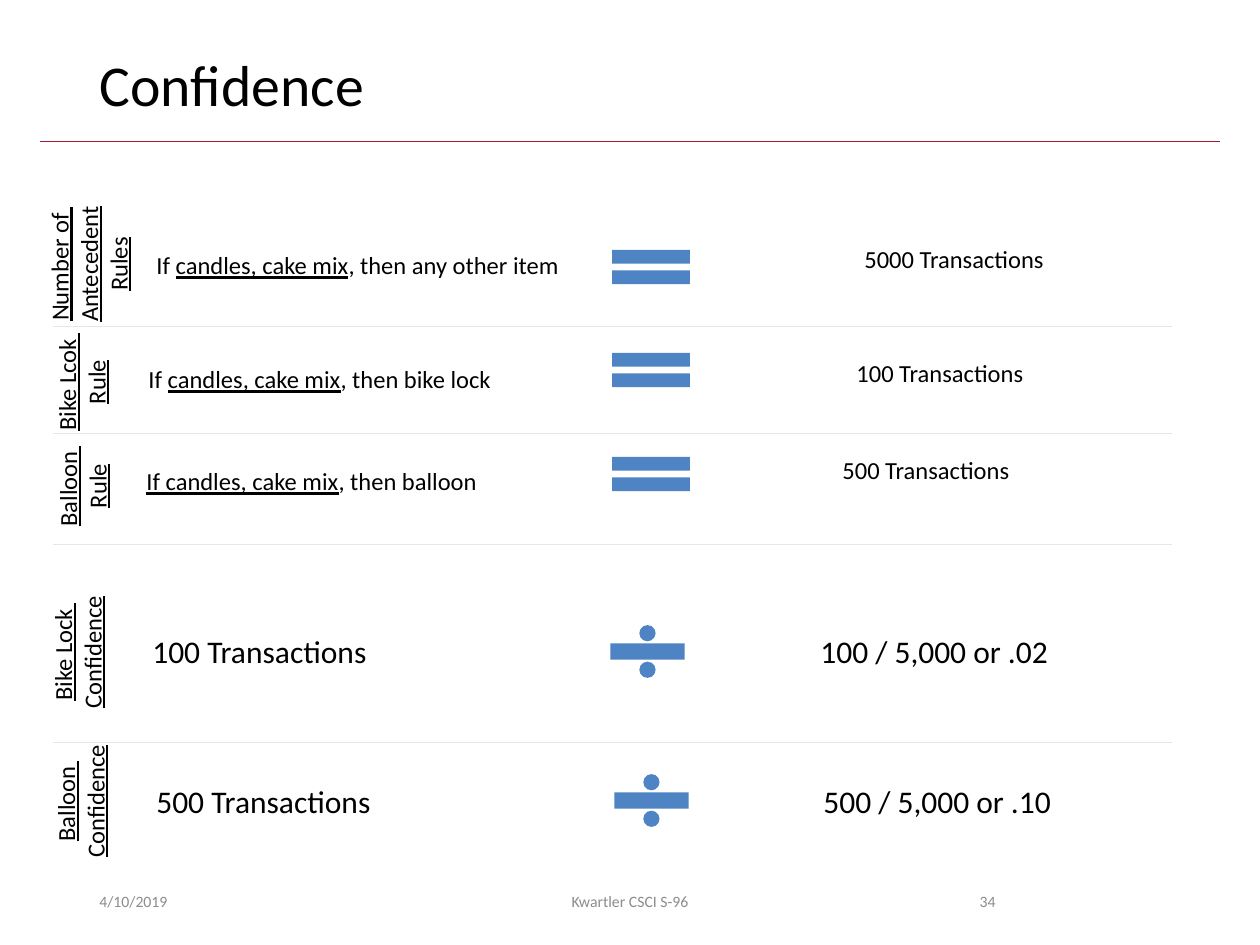
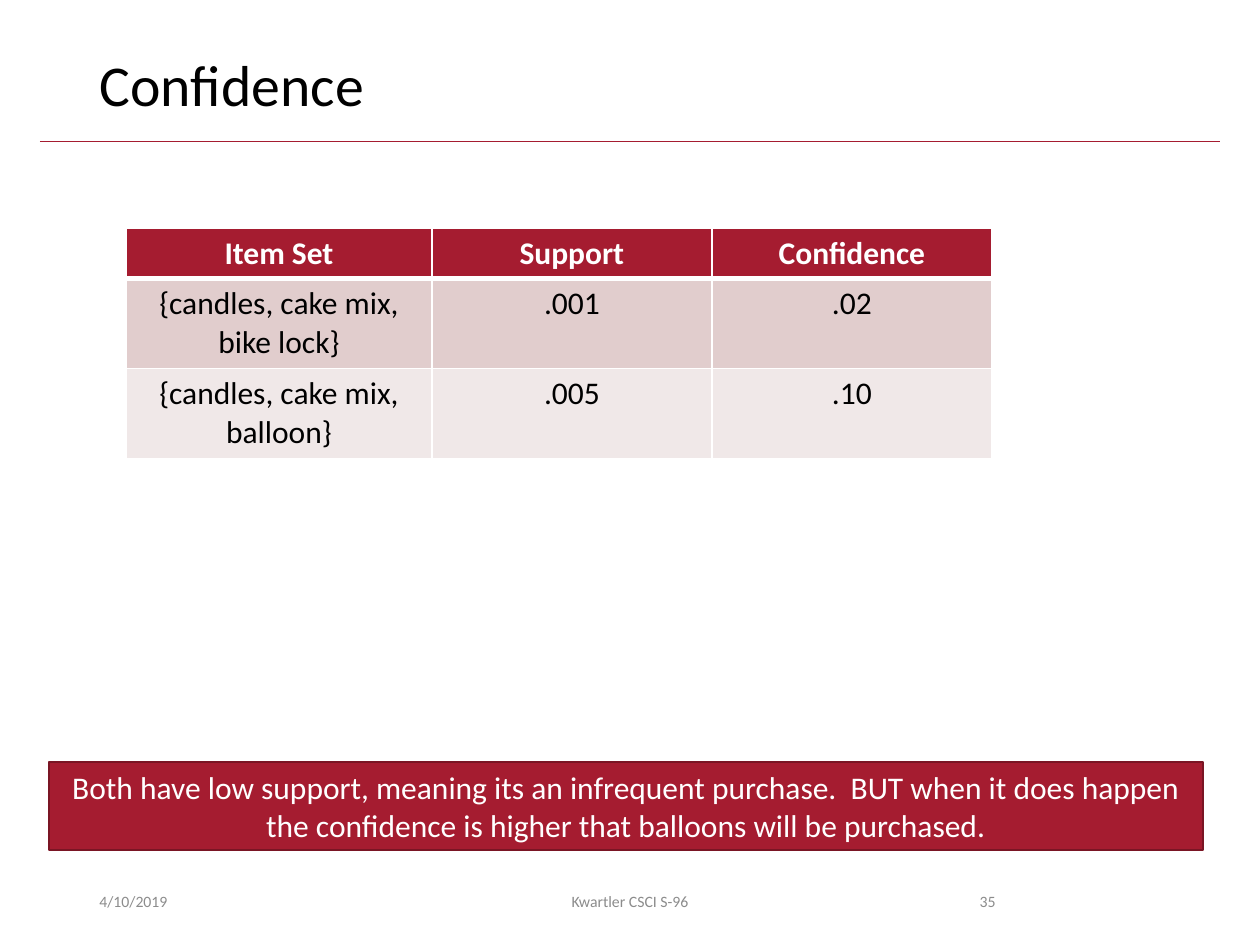
import pptx
import pptx.dml.color
import pptx.enum.shapes
import pptx.enum.text
import pptx.oxml
import pptx.oxml.ns
import pptx.util
import lxml.etree

SCALE = 914400 / 126
CRIMSON, BLUE, BLACK, WHITE = "A51C30", "4E84C4", "000000", "FFFFFF"
PALE_GREY, FOOTER_GREY, DARK_CRIMSON = "E7E6E6", "8C8C8C", "7A1524"
SHAPES = pptx.enum.shapes.MSO_SHAPE
ALIGN = pptx.enum.text.PP_ALIGN
ANCHOR = pptx.enum.text.MSO_ANCHOR
AUTO_SIZE = pptx.enum.text.MSO_AUTO_SIZE
color = pptx.dml.color.RGBColor.from_string


def px(*lengths):
    return [pptx.util.Emu(round(length * SCALE)) for length in lengths]


def write(frame, paragraphs, size, ink=BLACK, align=ALIGN.LEFT, bold=False):
    for index, spans in enumerate(paragraphs):
        para = frame.paragraphs[0] if index == 0 else frame.add_paragraph()
        para.alignment = align
        for text, underline in spans:
            span = para.add_run()
            span.text = text
            span.font.name = "Calibri"
            span.font.size = pptx.util.Pt(size)
            span.font.color.rgb = color(ink)
            span.font.bold = bold
            span.font.underline = underline


deck = pptx.Presentation()
deck.slide_width, deck.slide_height = px(1260, 945)
pages = [deck.slides.add_slide(deck.slide_layouts[5]) for number in range(2)]
rules = [(page, 40, 1220, 141, CRIMSON) for page in pages]
rules += [(pages[0], 1172, 53, y, PALE_GREY) for y in (326, 433, 544, 742)]

for page, start, end, y, ink in rules:
    rule = page.shapes.add_connector(
        pptx.enum.shapes.MSO_CONNECTOR.STRAIGHT, *px(start, y, end, y))
    rule.line.color.rgb = color(ink)
    rule.line.width = pptx.util.Pt(0.5)
    lxml.etree.SubElement(rule.element.spPr, pptx.oxml.ns.qn("a:effectLst"))

for page_number, page in enumerate(pages, 34):
    title = page.shapes.title
    title.left, title.top, title.width, title.height = px(87, 50, 1086, 82)
    title.text_frame.auto_size = AUTO_SIZE.NONE
    title.text_frame.vertical_anchor = ANCHOR.TOP
    write(title.text_frame, [[("Confidence", False)]], 33)
    title.text_frame.paragraphs[0].line_spacing = 0.9

    for text, left, width, align in (
        ("4/10/2019", 87, 284, ALIGN.LEFT),
        ("Kwartler CSCI S-96", 417, 426, ALIGN.CENTER),
        (str(page_number), 890, 118, ALIGN.RIGHT),
    ):
        footer = page.shapes.add_textbox(*px(left, 876, width, 50))
        footer.text_frame.word_wrap = True
        footer.text_frame.vertical_anchor = ANCHOR.MIDDLE
        write(footer.text_frame, [[(text, False)]], 9, FOOTER_GREY, align)

calculation, summary = pages

rows = [
    (["Number of ", "Antecedent", "Rules"], (18, 213, 142, 102),
     [("If ", False), ("candles, cake mix", True), (", then any other item", False)], (144, 244, 431, 43),
     "5000 Transactions", (852, 238, 207, 43), SHAPES.MATH_EQUAL, (598, 238, 106, 58), 14),
    (["Bike Lcok ", "Rule"], (20, 346, 123, 72),
     [("If ", False), ("candles, cake mix", True), (", then bike lock", False)], (136, 358, 370, 43),
     "100 Transactions", (844, 352, 194, 43), SHAPES.MATH_EQUAL, (598, 341, 106, 58), 14),
    (["Balloon ", "Rule"], (29, 450, 107, 72),
     [("If candles, cake mix", True), (", then balloon", False)], (134, 460, 359, 43),
     "500 Transactions", (830, 449, 194, 43), SHAPES.MATH_EQUAL, (598, 445, 106, 58), 14),
    (["Bike Lock ", "Confidence"], (8, 616, 139, 72),
     [("100 Transactions", False)], (140, 626, 242, 50),
     "100 / 5,000 or .02", (808, 626, 256, 50), SHAPES.MATH_DIVIDE, (597, 617, 101, 69), 18),
    (["Balloon ", "Confidence"], (11, 765, 139, 72),
     [("500 Transactions", False)], (144, 776, 242, 50),
     "500 / 5,000 or .10", (811, 776, 256, 50), SHAPES.MATH_DIVIDE, (601, 766, 101, 69), 18),
]
for label, label_place, spans, text_place, result, result_place, sign, sign_place, size in rows:
    label_lines = [[(line, True)] for line in label]
    for paragraphs, place, points, align, angle in (
        (label_lines, label_place, 14, ALIGN.CENTER, 270),
        ([spans], text_place, size, ALIGN.LEFT, 0),
        ([[(result, False)]], result_place, size, ALIGN.LEFT, 0),
    ):
        box = calculation.shapes.add_textbox(*px(*place))
        box.rotation = angle
        box.text_frame.word_wrap = False
        box.text_frame.auto_size = AUTO_SIZE.SHAPE_TO_FIT_TEXT
        write(box.text_frame, paragraphs, points, align=align)
    operator = calculation.shapes.add_shape(sign, *px(*sign_place))
    operator.shadow.inherit = False
    operator.fill.solid()
    operator.fill.fore_color.rgb = color(BLUE)
    operator.line.fill.background()

table_rows = [
    (50, CRIMSON, WHITE, ["Item Set", "Support", "Confidence"]),
    (90, "E1CDCD", BLACK, ["{candles, cake mix, bike lock}", ".001", ".02"]),
    (90, "F0E8E8", BLACK, ["{candles, cake mix, balloon}", ".005", ".10"]),
]
table = summary.shapes.add_table(3, 3, *px(126, 228, 866, 230)).table
for column, width in zip(table.columns, px(306, 280, 280)):
    column.width = width
for row_index, (height, fill, ink, texts) in enumerate(table_rows):
    table.rows[row_index].height = px(height)[0]
    for column_index, text in enumerate(texts):
        cell = table.cell(row_index, column_index)
        write(cell.text_frame, [[(text, False)]], 18, ink, ALIGN.CENTER, row_index == 0)
        properties = cell._tc.get_or_add_tcPr()
        for side in "LRTB":
            heavy = (row_index, side) in ((0, "B"), (1, "T"))
            width = pptx.util.Pt(3 if heavy else 1)
            properties.append(pptx.oxml.parse_xml(
                f'<a:ln{side} {pptx.oxml.ns.nsdecls("a")} w="{width}"><a:solidFill>'
                f'<a:srgbClr val="{WHITE}"/></a:solidFill></a:ln{side}>'))
        cell.fill.solid()
        cell.fill.fore_color.rgb = color(fill)

takeaway = summary.shapes.add_shape(SHAPES.RECTANGLE, *px(49, 762, 1154, 88))
takeaway.shadow.inherit = False
takeaway.fill.solid()
takeaway.fill.fore_color.rgb = color(CRIMSON)
takeaway.line.color.rgb = color(DARK_CRIMSON)
takeaway.line.width = pptx.util.Pt(1)
takeaway.text_frame.word_wrap = True
takeaway.text_frame.vertical_anchor = ANCHOR.MIDDLE
write(takeaway.text_frame, [[(
    "Both have low support, meaning its an infrequent purchase.  BUT when it does happen "
    "the confidence is higher that balloons will be purchased.", False)]], 18, WHITE, ALIGN.CENTER)

deck.save("out.pptx")
